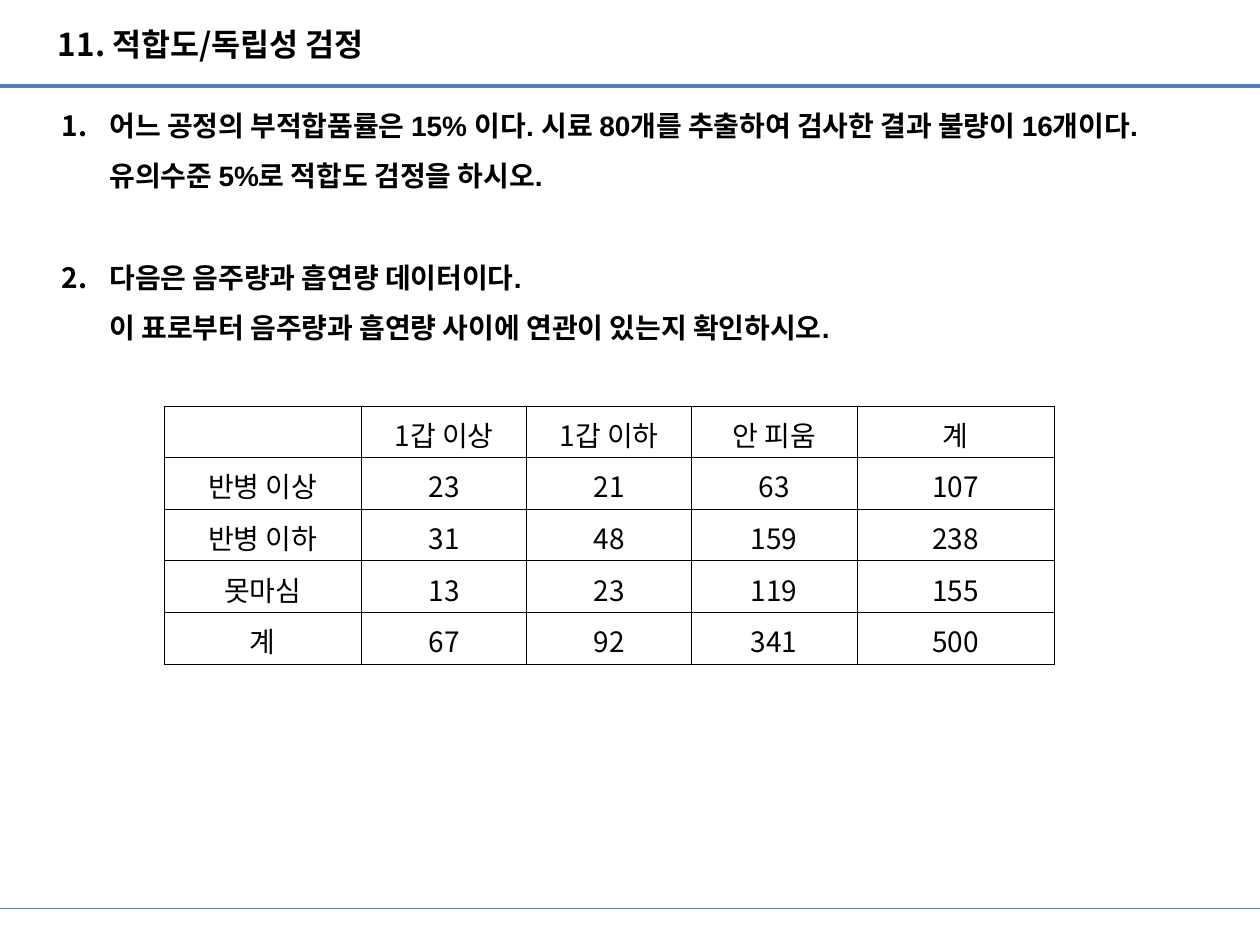
import copy

import pptx
import pptx.chart.data
import pptx.dml.color
import pptx.enum.shapes
import pptx.enum.text
import pptx.oxml
import pptx.oxml.ns
import pptx.util

Inches, Pt = pptx.util.Inches, pptx.util.Pt
RGB = pptx.dml.color.RGBColor.from_string
qn = pptx.oxml.ns.qn
NS = pptx.oxml.ns.nsdecls("a")
PP_ALIGN = pptx.enum.text.PP_ALIGN
ANCHOR = pptx.enum.text.MSO_ANCHOR
FIT = pptx.enum.text.MSO_AUTO_SIZE.SHAPE_TO_FIT_TEXT

THEME = {
    "text": "000000", "rule": "4B7EBC",
    "latin": "Arial", "korean": "Noto Sans CJK KR",
    "title_size": 18, "body_size": 16,
}
TITLE = "11. 적합도/독립성 검정"
QUESTIONS = [
    "어느 공정의 부적합품률은 15% 이다. 시료 80개를 추출하여 검사한 결과 불량이 16개이다.\v"
    "유의수준 5%로 적합도 검정을 하시오.",
    "다음은 음주량과 흡연량 데이터이다.\v"
    "이 표로부터 음주량과 흡연량 사이에 연관이 있는지 확인하시오.",
]
ROWS = [
    ["", "1갑 이상", "1갑 이하", "안 피움", "계"],
    ["반병 이상", "23", "21", "63", "107"],
    ["반병 이하", "31", "48", "159", "238"],
    ["못마심", "13", "23", "119", "155"],
    ["계", "67", "92", "341", "500"],
]
COL_WIDTHS = [1.57, 1.31, 1.31, 1.31, 1.57]
ROW_HEIGHT = 0.41


def style_text(p, size, font, bold):
    """Format the runs, line breaks and end mark of a paragraph."""
    for r in p.runs:
        formats = {"size": Pt(size), "name": font, "bold": bold}
        for name, value in formats.items():
            setattr(r.font, name, value)
        r.font.color.rgb = RGB(THEME["text"])
        ea = pptx.oxml.parse_xml(f'<a:ea {NS} typeface="{THEME["korean"]}"/>')
        r.font._element.append(ea)
        for br in p._p.findall(qn("a:br")):
            if br.find(qn("a:rPr")) is None:
                br.append(copy.deepcopy(r.font._element))
    if not p.runs:
        p._p.append(pptx.oxml.parse_xml(f'<a:endParaRPr {NS} sz="{size * 100}"/>'))


prs = pptx.Presentation()
prs.slide_width, prs.slide_height = Inches(10), Inches(7.5)
s = prs.slides.add_slide(prs.slide_layouts[5])

# Rules above and below the content
for y, weight in [(0.68, 2.25), (7.21, 0.75)]:
    rule = s.shapes.add_connector(
        pptx.enum.shapes.MSO_CONNECTOR.STRAIGHT,
        0, Inches(y), prs.slide_width, Inches(y))
    rule.line.color.rgb = RGB(THEME["rule"])
    rule.line.width = Pt(weight)
    rule._element.spPr.append(pptx.oxml.parse_xml(f"<a:effectLst {NS}/>"))

# Title and question boxes
title = s.shapes.title
body = s.shapes.add_textbox(0, 0, 0, 0)
boxes = [(title, (0.36, 0.15, 2.87, 0.4)), (body, (0.39, 0.68, 9.72, 2.12))]
for sp, place in boxes:
    for name, value in zip(("left", "top", "width", "height"), place):
        setattr(sp, name, Inches(value))
    tf = sp.text_frame
    formats = {"word_wrap": False, "auto_size": FIT, "vertical_anchor": ANCHOR.TOP}
    for name, value in formats.items():
        setattr(tf, name, value)

p = title.text_frame.paragraphs[0]
p.text = TITLE
p.alignment = PP_ALIGN.LEFT
style_text(p, THEME["title_size"], THEME["korean"], True)

tf = body.text_frame
for i, question in enumerate(QUESTIONS):
    p = tf.add_paragraph() if i else tf.paragraphs[0]
    p.text = question
    p.line_spacing = 1.5
    p.space_before = Pt(29 if i else 0)
    style_text(p, THEME["body_size"], THEME["latin"], True)
    pPr = p._p.get_or_add_pPr()
    pPr.set("marL", str(Inches(0.38)))
    pPr.set("indent", str(-Inches(0.38)))
    for xml in (f'<a:buFont {NS} typeface="{THEME["korean"]}"/>',
                f'<a:buAutoNum {NS} type="arabicPeriod"/>'):
        pPr.append(pptx.oxml.parse_xml(xml))

# Drinking and smoking table
frame = s.shapes.add_table(
    len(ROWS), len(COL_WIDTHS), Inches(1.3), Inches(3.22),
    Inches(sum(COL_WIDTHS)), Inches(ROW_HEIGHT * len(ROWS)))
table = frame.table
table.first_row = table.horz_banding = False
for column, width in zip(table.columns, COL_WIDTHS):
    column.width = Inches(width)
for row, values in zip(table.rows, ROWS):
    row.height = Inches(ROW_HEIGHT)
    for cell, value in zip(row.cells, values):
        formats = {"vertical_anchor": ANCHOR.MIDDLE,
                   "margin_top": Inches(0.05), "margin_bottom": Inches(0.01)}
        for name, setting in formats.items():
            setattr(cell, name, setting)
        p = cell.text_frame.paragraphs[0]
        p.text = value
        p.alignment = PP_ALIGN.CENTER
        style_text(p, THEME["body_size"], THEME["korean"], False)
        tcPr = cell._tc.get_or_add_tcPr()
        for side in ("lnL", "lnR", "lnT", "lnB"):
            tcPr.append(pptx.oxml.parse_xml(
                f'<a:{side} {NS} w="{Pt(0.25)}"><a:solidFill>'
                f'<a:srgbClr val="{THEME["text"]}"/></a:solidFill></a:{side}>'))
        cell.fill.background()

prs.save("out.pptx")
